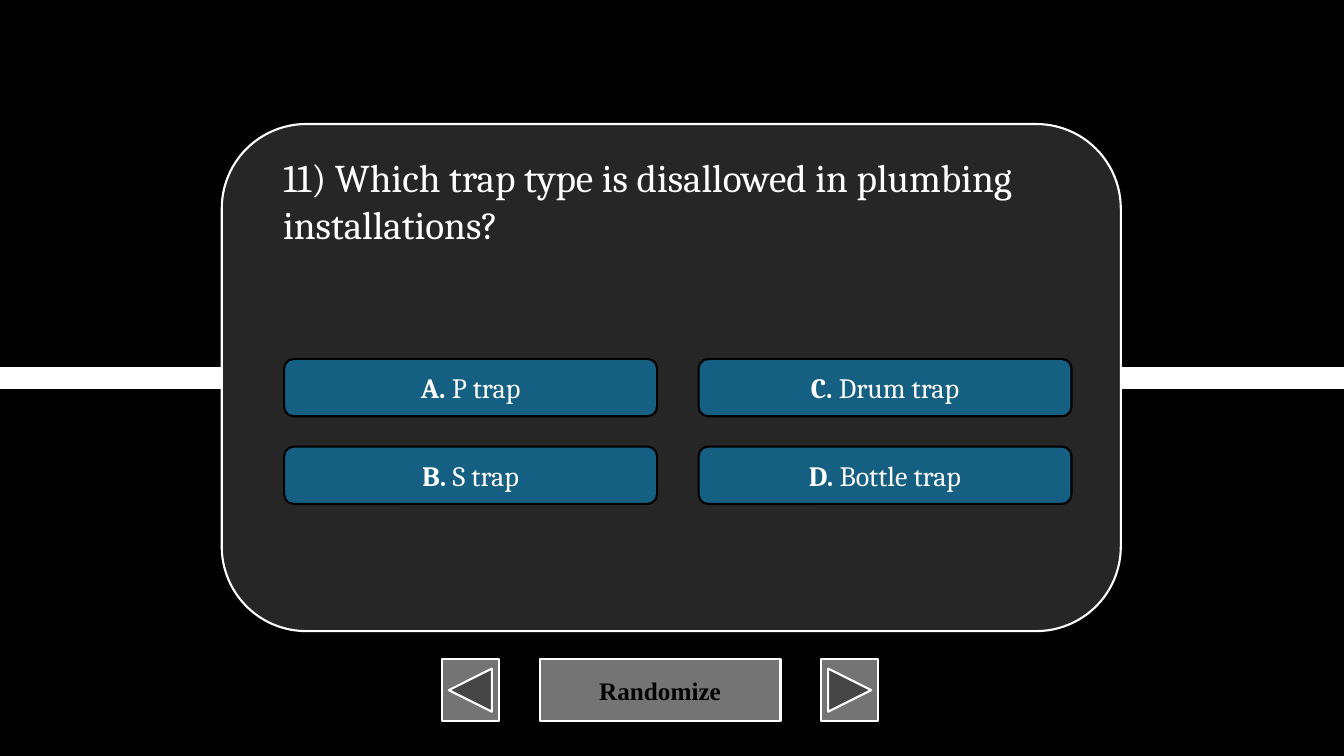
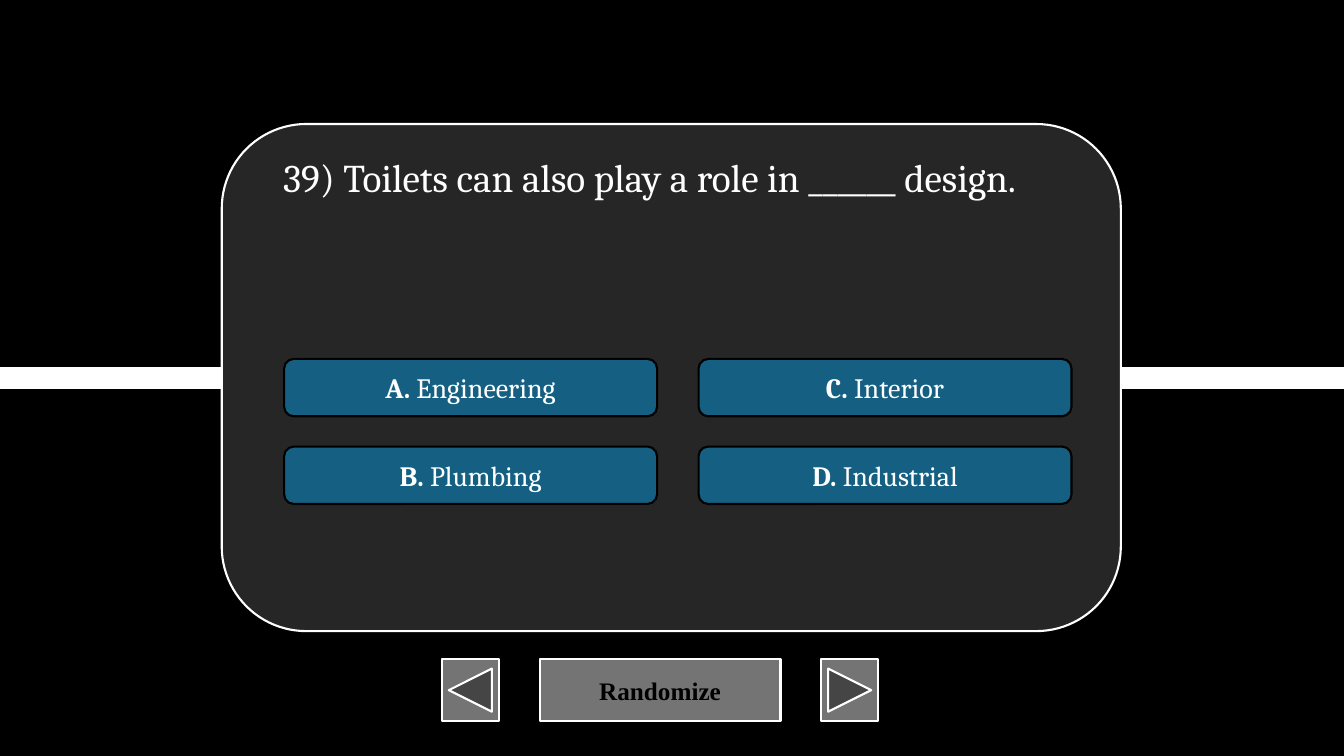
import lxml.etree
import pptx
import pptx.dml.color
import pptx.enum.shapes
import pptx.enum.text
import pptx.oxml.ns
import pptx.util

Pt = pptx.util.Pt
RGBColor = pptx.dml.color.RGBColor
SHAPE = pptx.enum.shapes.MSO_SHAPE
ALIGN = pptx.enum.text.PP_ALIGN
ANCHOR = pptx.enum.text.MSO_ANCHOR

QUESTIONS = [
    ("11) Which trap type is disallowed in plumbing installations?",
     ["P trap", "S trap", "Drum trap", "Bottle trap"]),
    ("39) Toilets can also play a role in ______ design.",
     ["Engineering", "Plumbing", "Interior", "Industrial"]),
]
NAV_BUTTONS = [
    (SHAPE.ACTION_BUTTON_BACK_OR_PREVIOUS, 41, ""),
    (SHAPE.ACTION_BUTTON_CUSTOM, 172, "Randomize"),
    (SHAPE.ACTION_BUTTON_FORWARD_OR_NEXT, 41, ""),
]

BLACK = RGBColor(0x00, 0x00, 0x00)
WHITE = RGBColor(0xFF, 0xFF, 0xFF)
CARD = RGBColor(0x26, 0x26, 0x26)
GREY = RGBColor(0x74, 0x74, 0x74)
BLUE = RGBColor(0x15, 0x60, 0x82)

SERIF = "Cambria"
NAV_FONT = "Times New Roman"

SLIDE_W, SLIDE_H = 960, 540
CARD_BOX = (158.4, 88.6, 642.2, 362.2)
QUESTION_BOX = (195.1, 105.8, 570.2, 74.9)
ANSWER_X, ANSWER_Y, ANSWER_W, ANSWER_H = 203, 256.4, 266.4, 41
ANSWER_STEP_X, ANSWER_STEP_Y = 296, 62.6
ANSWER_ROWS = 2
NAV_X, NAV_Y, NAV_H, NAV_GAP = 315.5, 471, 44, 29


def add_box(s, kind, box, fill, line):
    sp = s.shapes.add_shape(kind, *map(Pt, box))
    sp.shadow.inherit = False
    sp.fill.solid()
    sp.fill.fore_color.rgb = fill
    sp.line.color.rgb = line
    sp.line.width = Pt(1.5)
    return sp


def add_run(p, text, size, name, color, bold=False):
    r = p.add_run()
    r.text = text
    r.font.size = Pt(size)
    r.font.name = name
    r.font.color.rgb = color
    r.font.bold = bold


def centred_paragraph(sp):
    tf = sp.text_frame
    tf.vertical_anchor = ANCHOR.MIDDLE
    p = tf.paragraphs[0]
    p.alignment = ALIGN.CENTER
    return p


def add_band(s):
    band = s.shapes.add_connector(
        pptx.enum.shapes.MSO_CONNECTOR.STRAIGHT,
        0, Pt(SLIDE_H / 2), Pt(SLIDE_W), Pt(SLIDE_H / 2))
    band.line.color.rgb = WHITE
    band.line.width = Pt(16)
    lxml.etree.SubElement(band._element.spPr, pptx.oxml.ns.qn("a:effectLst"))


def add_navigation(s):
    x = NAV_X
    for kind, width, label in NAV_BUTTONS:
        sp = add_box(s, kind, (x, NAV_Y, width, NAV_H), GREY, WHITE)
        if label:
            add_run(centred_paragraph(sp), label, 18, NAV_FONT, BLACK, True)
        x += width + NAV_GAP


def add_answers(s, answers):
    for i, (letter, answer) in enumerate(zip("ABCD", answers)):
        column, row = divmod(i, ANSWER_ROWS)
        box = (ANSWER_X + column * ANSWER_STEP_X,
               ANSWER_Y + row * ANSWER_STEP_Y, ANSWER_W, ANSWER_H)
        p = centred_paragraph(
            add_box(s, SHAPE.ROUNDED_RECTANGLE, box, BLUE, BLACK))
        add_run(p, f"{letter}. ", 20, SERIF, WHITE, True)
        add_run(p, answer, 20, SERIF, WHITE)


def add_question(s, question):
    tf = s.shapes.add_textbox(*map(Pt, QUESTION_BOX)).text_frame
    tf.word_wrap = True
    add_run(tf.paragraphs[0], question, 28, SERIF, WHITE)


def main():
    prs = pptx.Presentation()
    prs.slide_width, prs.slide_height = Pt(SLIDE_W), Pt(SLIDE_H)
    background = prs.slide_master.background.fill
    background.solid()
    background.fore_color.rgb = BLACK
    for question, answers in QUESTIONS:
        s = prs.slides.add_slide(prs.slide_layouts[6])
        add_band(s)
        add_navigation(s)
        add_box(s, SHAPE.ROUNDED_RECTANGLE, CARD_BOX, CARD, WHITE)
        add_answers(s, answers)
        add_question(s, question)
    prs.save("out.pptx")


if __name__ == "__main__":
    main()
